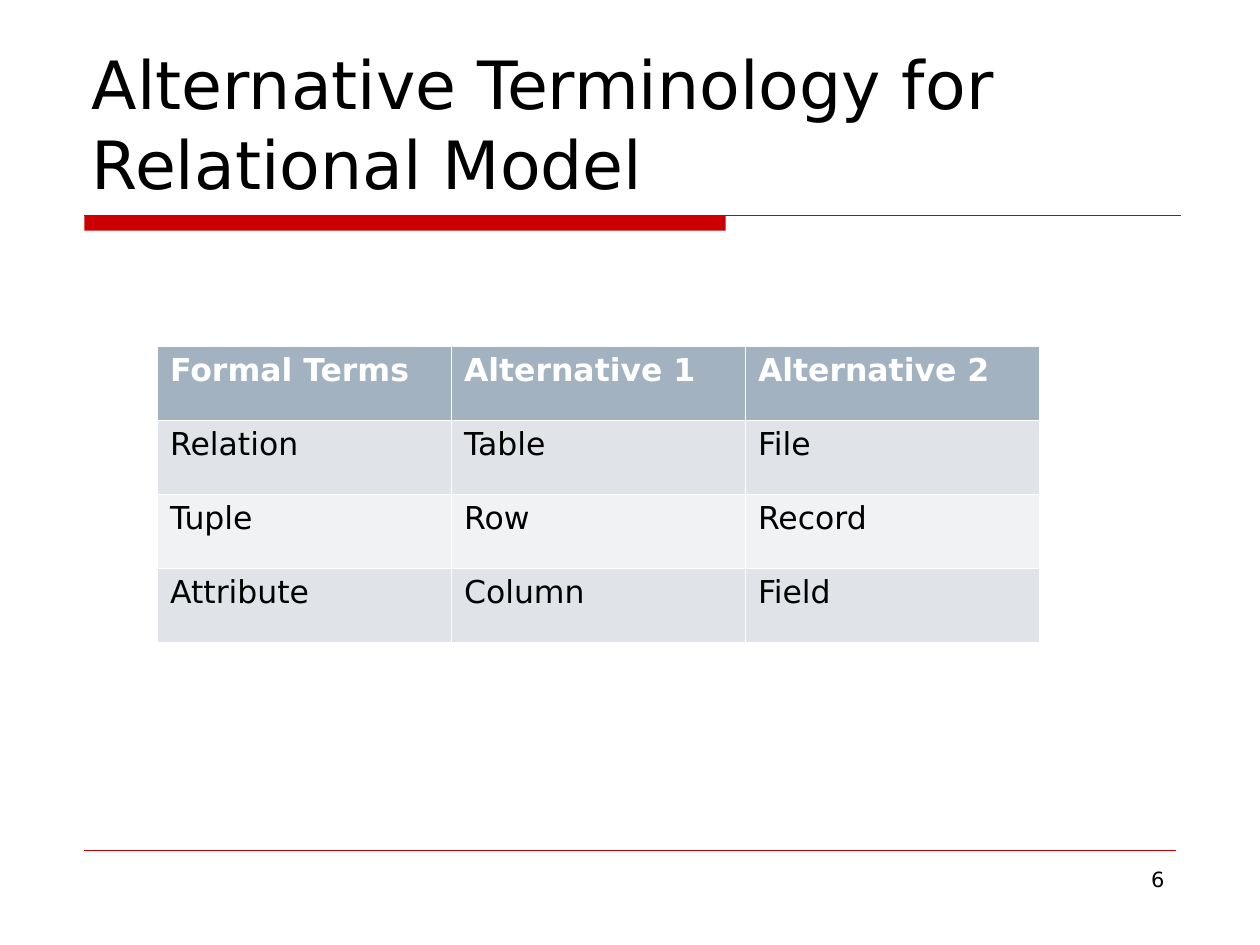
from lxml.etree import SubElement
from pptx import Presentation
from pptx.dml.color import RGBColor
from pptx.enum.shapes import MSO_CONNECTOR as Connector, MSO_SHAPE as Shape
from pptx.enum.text import MSO_ANCHOR as Anchor, PP_ALIGN as Align
from pptx.oxml.ns import qn
from pptx.util import Inches, Pt

COLORS = {
    "text": "000000",
    "accent": "CC0000",
    "header": "A3B2C1",
    "odd": "E0E4E9",
    "even": "F0F2F4",
    "white": "FFFFFF",
}
TERMS = [
    ["Formal Terms", "Alternative 1", "Alternative 2"],
    ["Relation", "Table", "File"],
    ["Tuple", "Row", "Record"],
    ["Attribute", "Column", "Field"],
]


class SlideBuilder:
    font = "DejaVu Sans"

    def __init__(self, page):
        self.page = page

    def color(self, name):
        return RGBColor.from_string(COLORS[name])

    def add_span(self, para, text, size, color="text", bold=False):
        span = para.add_run()
        span.text = text
        span.font.name = self.font
        span.font.size = Pt(size)
        span.font.bold = bold
        span.font.color.rgb = self.color(color)

    def text(self, bounds, text, size, align=Align.LEFT, anchor=Anchor.TOP):
        box = self.page.shapes.add_textbox(*map(Inches, bounds))
        frame = box.text_frame
        frame.word_wrap = True
        frame.vertical_anchor = anchor
        para = frame.paragraphs[0]
        para.alignment = align
        self.add_span(para, text, size)

    def bar(self, bounds):
        bar = self.page.shapes.add_shape(Shape.RECTANGLE, *map(Inches, bounds))
        bar.shadow.inherit = False
        bar.fill.solid()
        bar.fill.fore_color.rgb = self.color("accent")
        bar.line.fill.background()

    def rule(self, left, right, top, width):
        rule = self.page.shapes.add_connector(
            Connector.STRAIGHT, Inches(left), Inches(top), Inches(right), Inches(top)
        )
        rule.line.color.rgb = self.color("accent")
        rule.line.width = Pt(width)
        SubElement(rule._element.spPr, qn("a:effectLst"))

    def borders(self, cell, widths):
        properties = cell._tc.get_or_add_tcPr()
        for index, (side, width) in enumerate(widths.items()):
            line = properties.makeelement(qn(f"a:ln{side}"), {"w": str(Pt(width))})
            fill = SubElement(line, qn("a:solidFill"))
            SubElement(fill, qn("a:srgbClr"), val=COLORS["white"])
            properties.insert(index, line)

    def table(self, bounds, rows):
        frame = self.page.shapes.add_table(
            len(rows), len(rows[0]), *map(Inches, bounds)
        )
        for row, values in enumerate(rows):
            header = row == 0
            fill = "header" if header else "odd" if row % 2 else "even"
            widths = {
                "L": 0.23,
                "R": 0.23,
                "T": 0.75 if row == 1 else 0.23,
                "B": 0.75 if header else 0.23,
            }
            for column, value in enumerate(values):
                cell = frame.table.cell(row, column)
                cell.fill.solid()
                cell.fill.fore_color.rgb = self.color(fill)
                self.borders(cell, widths)
                para = cell.text_frame.paragraphs[0]
                para.line_spacing = 0.98
                self.add_span(para, value, 18, "white" if header else "text", header)


def main():
    deck = Presentation()
    deck.slide_width, deck.slide_height = Inches(10), Inches(7.5)
    slide = SlideBuilder(deck.slides.add_slide(deck.slide_layouts[6]))
    slide.bar((0.67, 1.71, 5.09, 0.12))
    slide.rule(0.67, 9.37, 1.71, 0.75)
    slide.rule(0.67, 9.33, 6.75, 0.25)
    slide.text(
        (0.63, 0.33, 8.75, 1.33),
        "Alternative Terminology for Relational Model",
        38,
        anchor=Anchor.BOTTOM,
    )
    slide.text((7.17, 6.83, 2.17, 0.52), "6", 12, Align.RIGHT)
    slide.table((1.25, 2.75, 7, 2.35), TERMS)
    deck.save("out.pptx")


if __name__ == "__main__":
    main()
